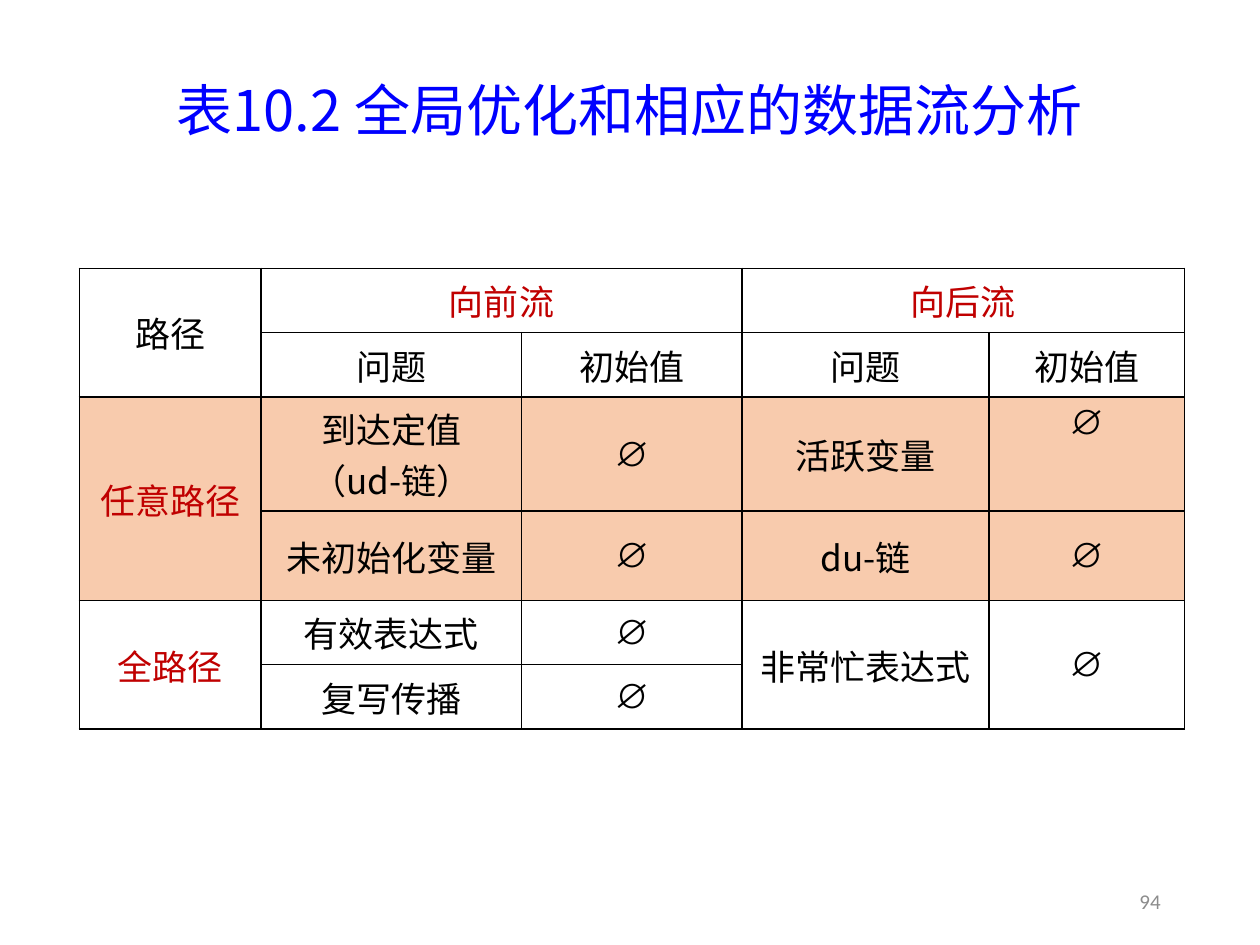
from lxml.etree import SubElement
from pptx import Presentation
from pptx.dml.color import RGBColor
from pptx.enum.text import MSO_ANCHOR as ANCHOR, PP_ALIGN as ALIGN
from pptx.oxml.ns import qn
from pptx.util import Pt

COLORS = {
    "title": "0000FF",
    "text": "000000",
    "accent": "C00000",
    "band": "F8CBAD",
    "number": "8C8C8C",
}
CJK = "Noto Sans CJK SC"
EMPTY = "∅"
COL_WIDTHS = [103.7, 149, 126, 141.1, 111.6]
ROW_HEIGHTS = [36.7, 36.7, 59.8, 51.1, 36.7, 36.7]
ROWS = [
    ["路径", "向前流", "", "向后流", ""],
    ["", "问题", "初始值", "问题", "初始值"],
    ["任意路径", "到达定值\n（ud-链）", EMPTY, "活跃变量", EMPTY],
    ["", "未初始化变量", EMPTY, "du-链", EMPTY],
    ["全路径", "有效表达式", EMPTY, "非常忙表达式", EMPTY],
    ["", "复写传播", EMPTY, "", ""],
]
MERGES = [
    ((0, 0), (1, 0)), ((0, 1), (0, 2)), ((0, 3), (0, 4)),
    ((2, 0), (3, 0)), ((4, 0), (5, 0)),
    ((4, 3), (5, 3)), ((4, 4), (5, 4)),
]
ACCENT_CELLS = {(0, 1), (0, 3), (2, 0), (4, 0)}
BAND_ROWS = {2, 3}
TOP_CELL = (2, 4)


def add_run(p, text, size, font, color):
    r = p.add_run()
    r.text = text
    r.font.size = Pt(size)
    r.font.name = font
    r.font.color.rgb = RGBColor.from_string(COLORS[color])
    SubElement(r._r.get_or_add_rPr(), qn("a:ea")).set("typeface", font)


def place(sp, left, top, width, height):
    sp.left, sp.top = Pt(left), Pt(top)
    sp.width, sp.height = Pt(width), Pt(height)


def add_title(s, text):
    sp = s.shapes.title
    place(sp, 49.7, 28.8, 620.6, 72)
    tf = sp.text_frame
    tf.vertical_anchor = ANCHOR.MIDDLE
    p = tf.paragraphs[0]
    p.alignment = ALIGN.CENTER
    p.line_spacing = 0.9
    add_run(p, text, 32, "Noto Sans CJK JP", "title")


def add_page_number(s, text):
    sp = s.shapes.add_textbox(Pt(508.3), Pt(500.4), Pt(162), Pt(28.8))
    tf = sp.text_frame
    tf.word_wrap = True
    tf.vertical_anchor = ANCHOR.MIDDLE
    p = tf.paragraphs[0]
    p.alignment = ALIGN.RIGHT
    add_run(p, text, 12, "Calibri", "number")


def add_borders(cell):
    tc_pr = cell._tc.get_or_add_tcPr()
    for side in ("lnL", "lnR", "lnT", "lnB"):
        ln = SubElement(tc_pr, qn(f"a:{side}"), w=str(Pt(1)))
        fill = SubElement(ln, qn("a:solidFill"))
        SubElement(fill, qn("a:srgbClr"), val=COLORS["text"])


def fill_cell(cell, text, color, banded, anchor):
    add_borders(cell)
    if banded:
        cell.fill.solid()
        cell.fill.fore_color.rgb = RGBColor.from_string(COLORS["band"])
    else:
        cell.fill.background()
    cell.vertical_anchor = anchor
    if not text:
        return
    tf = cell.text_frame
    font = "Arial" if text == EMPTY else CJK
    for i, line in enumerate(text.split("\n")):
        p = tf.add_paragraph() if i else tf.paragraphs[0]
        p.alignment = ALIGN.CENTER
        add_run(p, line, 20, font, color)


def add_analysis_table(s):
    frame = s.shapes.add_table(
        len(ROWS), len(COL_WIDTHS), Pt(45.4), Pt(153.4),
        Pt(sum(COL_WIDTHS)), Pt(sum(ROW_HEIGHTS)))
    table = frame.table
    table.first_row = table.horz_banding = False
    for col, width in zip(table.columns, COL_WIDTHS):
        col.width = Pt(width)
    for row, height in zip(table.rows, ROW_HEIGHTS):
        row.height = Pt(height)
    for first, last in MERGES:
        table.cell(*first).merge(table.cell(*last))
    for i, texts in enumerate(ROWS):
        for j, text in enumerate(texts):
            color = "accent" if (i, j) in ACCENT_CELLS else "text"
            anchor = ANCHOR.TOP if (i, j) == TOP_CELL else ANCHOR.MIDDLE
            fill_cell(table.cell(i, j), text, color, i in BAND_ROWS, anchor)


def main():
    prs = Presentation()
    prs.slide_width, prs.slide_height = Pt(720), Pt(540)
    s = prs.slides.add_slide(prs.slide_layouts[5])
    add_title(s, "表10.2 全局优化和相应的数据流分析")
    add_analysis_table(s)
    add_page_number(s, "94")
    prs.save("out.pptx")


if __name__ == "__main__":
    main()
